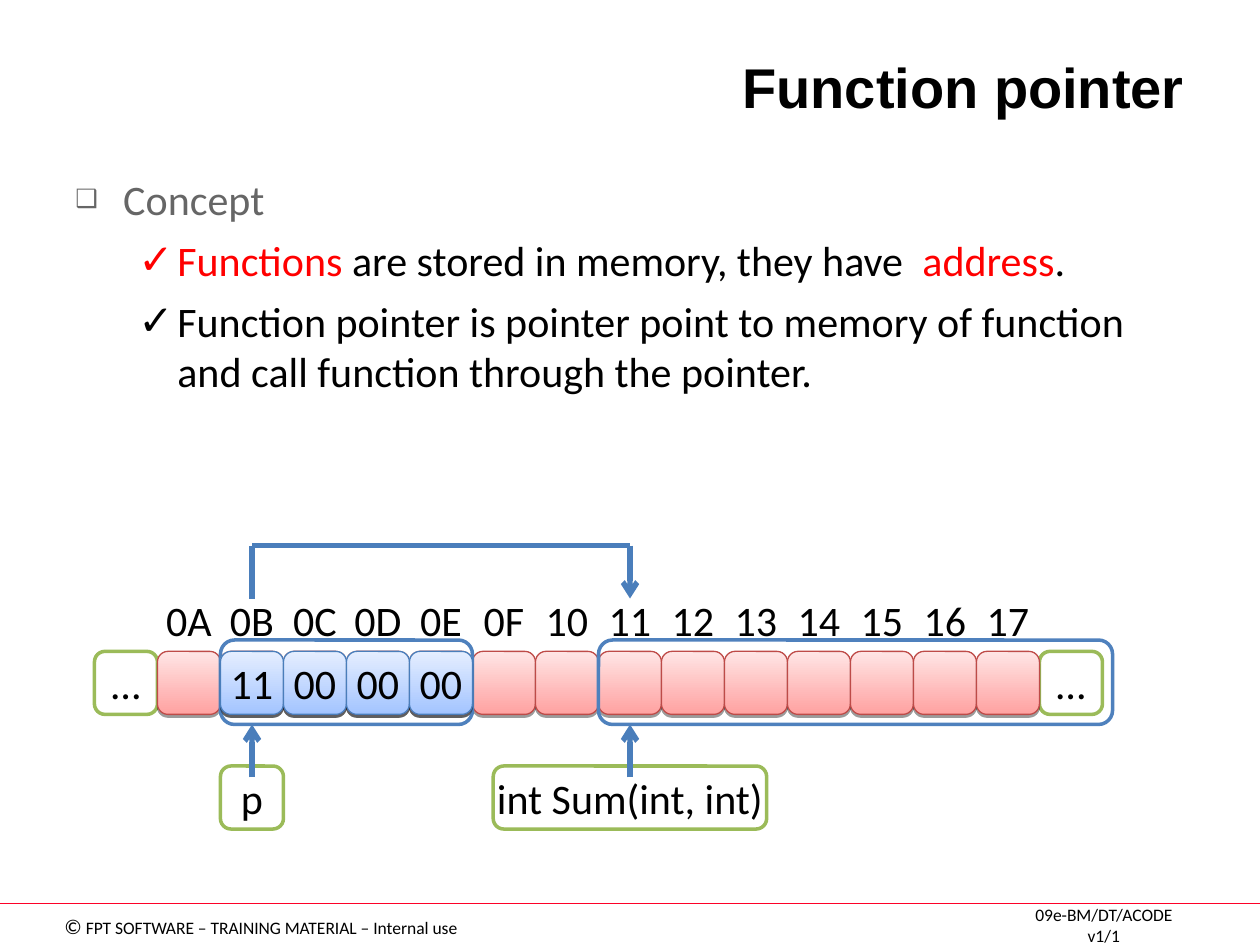
from lxml.etree import SubElement
from pptx import Presentation
from pptx.dml.color import RGBColor
from pptx.enum.shapes import MSO_CONNECTOR, MSO_SHAPE
from pptx.enum.text import MSO_ANCHOR, PP_ALIGN
from pptx.oxml.ns import qn
from pptx.util import Inches, Pt

BLACK = RGBColor(0x00, 0x00, 0x00)
WHITE = RGBColor(0xFF, 0xFF, 0xFF)
GRAY = RGBColor(0x66, 0x66, 0x66)
RED = RGBColor(0xFF, 0x00, 0x00)
FOOTER_RED = RGBColor(0xFC, 0x01, 0x28)
GREEN = RGBColor(0x9B, 0xBB, 0x59)
ARROW_BLUE = RGBColor(0x4A, 0x7E, 0xBB)
FRAME_BLUE = RGBColor(0x4F, 0x81, 0xBD)
CELL_RED = RGBColor(0xBE, 0x4B, 0x48)
RED_GRADIENT = (RGBColor(0xFF, 0xA2, 0xA1), RGBColor(0xFF, 0xE5, 0xE5))
BLUE_GRADIENT = (RGBColor(0xA3, 0xC4, 0xFF), RGBColor(0xE5, 0xEE, 0xFF))

CELL = 0.5
ROW_LEFT = 1.25
ROW_TOP = 5.17
LABEL_TOP = 4.67
NOTE_TOP = 6.08
LINK_TOP = 4.33
ADDRESSES = ["0A", "0B", "0C", "0D", "0E", "0F"] + [str(n) for n in range(10, 18)]
POINTER_BYTES = ["11", "00", "00", "00"]
POINTER_INDEX = ADDRESSES.index("0B")
FUNCTION_INDEX = ADDRESSES.index("11")

BODY = {"size": Pt(24), "name": "Calibri"}
TITLE = {"size": Pt(32), "name": "Arial", "bold": True}
SMALL = {"size": Pt(10), "name": "Calibri"}
SYMBOL = {"size": Pt(12), "name": "Calibri"}


def cell_left(index):
    return ROW_LEFT + index * CELL


def add_run(paragraph, text, style, color=BLACK):
    run = paragraph.add_run()
    run.text = text
    for name, value in style.items():
        setattr(run.font, name, value)
    run.font.color.rgb = color


def add_text(slide, box, runs, anchor, alignment, wrap):
    frame = slide.shapes.add_textbox(*map(Inches, box)).text_frame
    frame.word_wrap = wrap
    frame.vertical_anchor = anchor
    paragraph = frame.paragraphs[0]
    paragraph.alignment = alignment
    for text, style in runs:
        add_run(paragraph, text, style)


def add_bullet(paragraph, character, color, margin, indent, percent=100):
    properties = paragraph._p.get_or_add_pPr()
    properties.set("marL", str(Inches(margin)))
    properties.set("indent", str(Inches(indent)))
    bullet_color = SubElement(properties, qn("a:buClr"))
    SubElement(bullet_color, qn("a:srgbClr"), val=str(color))
    SubElement(properties, qn("a:buSzPct"), val=str(percent * 1000))
    SubElement(properties, qn("a:buFont"), typeface="Arial")
    SubElement(properties, qn("a:buChar"), char=character)


def add_concept(slide):
    frame = slide.shapes.add_textbox(*map(Inches, (0.5, 1.33, 9, 5.37))).text_frame
    frame.word_wrap = True
    heading = frame.paragraphs[0]
    add_bullet(heading, "❑", GRAY, 0.38, -0.38, 60)
    add_run(heading, "Concept", BODY, GRAY)
    points = [
        (RED, [("Functions", RED), (" are stored in memory, they have  ", BLACK),
               ("address", RED), (".", BLACK)]),
        (BLACK, [("Function pointer is pointer point to memory of function "
                  "and call function through the pointer.", BLACK)]),
    ]
    for bullet_color, runs in points:
        paragraph = frame.add_paragraph()
        paragraph.level = 1
        add_bullet(paragraph, "✓", bullet_color, 0.81, -0.31)
        paragraph.space_before = Pt(6)
        for text, color in runs:
            add_run(paragraph, text, BODY, color)


def add_box(slide, box, text="", fill=None, line=None, width=2):
    shape = slide.shapes.add_shape(MSO_SHAPE.ROUNDED_RECTANGLE, *map(Inches, box))
    shape.shadow.inherit = False
    if fill is None:
        shape.fill.background()
    else:
        shape.fill.solid()
        shape.fill.fore_color.rgb = fill
    if line is None:
        shape.line.fill.background()
    else:
        shape.line.color.rgb = line
        shape.line.width = Pt(width)
    if text:
        frame = shape.text_frame
        frame.word_wrap = False
        frame.vertical_anchor = MSO_ANCHOR.MIDDLE
        frame.paragraphs[0].alignment = PP_ALIGN.CENTER
        add_run(frame.paragraphs[0], text, BODY)
    return shape


def add_memory_cell(slide, index, gradient, line, text=""):
    shape = add_box(slide, (cell_left(index), ROW_TOP, CELL, CELL), text,
                    line=line, width=0.75)
    shape.fill.gradient()
    shape.fill.gradient_angle = 90
    for stop, color, position in zip(shape.fill.gradient_stops, gradient, (0, 1)):
        stop.color.rgb = color
        stop.position = position
    effects = shape._element.spPr.find(qn("a:effectLst"))
    shadow = SubElement(effects, qn("a:outerShdw"), blurRad="0",
                        dist=str(Pt(1.6)), dir="5400000", rotWithShape="0")
    shadow_color = SubElement(shadow, qn("a:srgbClr"), val=str(BLACK))
    SubElement(shadow_color, qn("a:alpha"), val="38000")


def add_line(slide, start, end, color=ARROW_BLUE, width=3, arrow=False):
    connector = slide.shapes.add_connector(
        MSO_CONNECTOR.STRAIGHT, *map(Inches, start + end))
    connector.line.color.rgb = color
    connector.line.width = Pt(width)
    if arrow:
        SubElement(connector.line._get_or_add_ln(), qn("a:tailEnd"), type="arrow")
    SubElement(connector._element.spPr, qn("a:effectLst"))
    connector._element.remove(connector._element.find(qn("p:style")))


def add_footer(slide):
    add_line(slide, (0, 7.17), (10, 7.17), FOOTER_RED, 0.75)
    notice = [("©", SYMBOL),
              (" FPT SOFTWARE – TRAINING MATERIAL – Internal use", SMALL)]
    code = [("09e-BM/DT/ACODE v1/1", SMALL)]
    for box, runs in [((0.4, 7.2, 3.34, 0.3), notice), ((7.99, 7.21, 1.54, 0.27), code)]:
        add_text(slide, box, runs, MSO_ANCHOR.MIDDLE, PP_ALIGN.CENTER, False)


def add_memory_row(slide):
    for index in (len(ADDRESSES), -1):
        add_box(slide, (cell_left(index), ROW_TOP, CELL, CELL), "…", WHITE, GREEN)
    for index, address in enumerate(ADDRESSES):
        add_memory_cell(slide, index, RED_GRADIENT, CELL_RED)
        add_box(slide, (cell_left(index), LABEL_TOP, CELL, CELL), address)


def add_pointer_links(slide):
    pointer_x, function_x = (cell_left(index) + CELL / 2
                             for index in (POINTER_INDEX, FUNCTION_INDEX))
    for center, width, text in [(pointer_x, CELL, "p"),
                                (function_x, 2.17, "int Sum(int, int)")]:
        add_box(slide, (center - width / 2, NOTE_TOP, width, CELL), text, WHITE, GREEN)
        add_line(slide, (center, 6.17), (center, 5.75), arrow=True)
    add_line(slide, (pointer_x, 4.75), (pointer_x, LINK_TOP))
    add_line(slide, (function_x, LINK_TOP), (function_x, 4.75), arrow=True)
    add_line(slide, (function_x, LINK_TOP), (pointer_x, LINK_TOP))


def add_pointer_value(slide):
    for index, width in [(POINTER_INDEX, len(POINTER_BYTES) * CELL),
                         (FUNCTION_INDEX, 4.08)]:
        add_box(slide, (cell_left(index), 5.08, width, 0.67), line=FRAME_BLUE)
    for index, value in enumerate(POINTER_BYTES, POINTER_INDEX):
        add_memory_cell(slide, index, BLUE_GRADIENT, ARROW_BLUE, value)


def main():
    presentation = Presentation()
    presentation.slide_width = Inches(10)
    presentation.slide_height = Inches(7.5)
    slide = presentation.slides.add_slide(presentation.slide_layouts[6])
    add_footer(slide)
    add_text(slide, (1.93, 0, 7.57, 1), [("Function pointer", TITLE)],
             MSO_ANCHOR.BOTTOM, PP_ALIGN.RIGHT, True)
    add_concept(slide)
    add_memory_row(slide)
    add_pointer_links(slide)
    add_pointer_value(slide)
    presentation.save("out.pptx")


if __name__ == "__main__":
    main()
